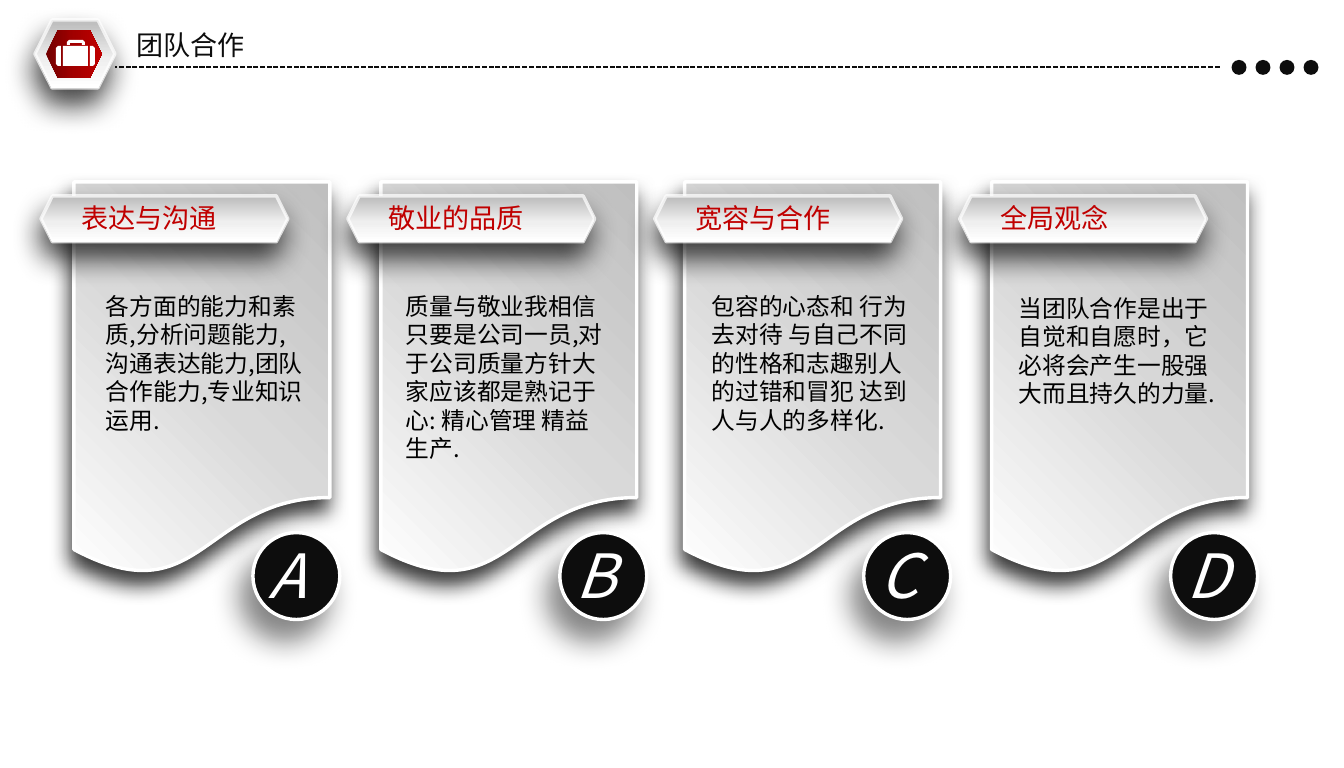
import dataclasses

import pptx
import pptx.dml.color
import pptx.enum.dml
import pptx.enum.shapes
import pptx.enum.text
import pptx.oxml.ns
import pptx.util
from lxml import etree

PX = 7495  # EMU per px
SHAPE = pptx.enum.shapes.MSO_SHAPE
qn = pptx.oxml.ns.qn


@dataclasses.dataclass(frozen=True)
class Theme:
    font: str = "Noto Sans CJK SC"
    ink: str = "0D0D0D"
    black: str = "000000"
    white: str = "FFFFFF"
    red: str = "C00000"
    heading_size: int = 16
    body_size: int = 14
    letter_size: int = 36
    line_height: float = 1.2
    # Gradients: (position %, colour) stops and clockwise angle
    paper: tuple = (((0, "BFBFBF"), (50, "D9D9D9"), (100, "FFFFFF")), 135)
    silver: tuple = (((5, "BFBFBF"), (57, "EFEFEF"), (100, "FFFFFF")), 90)
    crimson: tuple = (((0, "720000"), (50, "A20000"), (100, "C00000")), 0)
    # Shadows: colour, opacity %, blur pt, distance pt, direction
    paper_shadow: tuple = ("000000", 76, 12, 8, 105)
    silver_shadow: tuple = ("0D0D0D", 76, 17, 10, 100)
    badge_shadow: tuple = ("0D0D0D", 50, 17, 14, 120)


@dataclasses.dataclass(frozen=True)
class Card:
    letter: str
    left: int
    ribbon_left: int
    body_left: int
    body_top: int
    heading: str
    body: str


THEME = Theme()
CARDS = (
    Card("A", 74, 41, 94, 286, "表达与沟通",
         "各方面的能力和素\n质,分析问题能力,\n沟通表达能力,团队\n合作能力,专业知识\n运用."),
    Card("B", 381, 348, 394, 286, "敬业的品质",
         "质量与敬业我相信\n只要是公司一员,对\n于公司质量方针大\n家应该都是熟记于\n心: 精心管理 精益\n生产."),
    Card("C", 685, 655, 700, 286, "宽容与合作",
         "包容的心态和 行为\n去对待 与自己不同\n的性格和志趣别人\n的过错和冒犯 达到\n人与人的多样化."),
    Card("D", 992, 960, 1007, 288, "全局观念",
         "当团队合作是出于\n自觉和自愿时，它\n必将会产生一股强\n大而且持久的力量."),
)
BRIEFCASE = (
    ((67, 45), (67, 42), (69, 40), (83, 40), (85, 42), (85, 45),
     (82, 45), (82, 43), (70, 43), (70, 45)),
    ((61, 46), (61, 66), (58, 66), (56, 64), (56, 48), (58, 46)),
    ((63, 46), (88, 46), (88, 66), (63, 66)),
    ((90, 46), (93, 46), (95, 48), (95, 64), (93, 66), (90, 66)),
)


def rgb(colour):
    return pptx.dml.color.RGBColor.from_string(colour)


def add_colour(parent, colour, opacity=100):
    node = etree.SubElement(parent, qn("a:srgbClr"), val=colour)
    if opacity < 100:
        etree.SubElement(node, qn("a:alpha"), val=str(opacity * 1000))


def paint(shape, fill):
    """Fill with one colour, or with a gradient of stops and angle."""
    if isinstance(fill, str):
        shape.fill.solid()
        shape.fill.fore_color.rgb = rgb(fill)
        return
    stops, angle = fill
    shape.fill.gradient()
    shape.fill.gradient_angle = (360 - angle) % 360
    stop_list = shape._element.spPr.find(".//" + qn("a:gsLst"))
    for old_stop in list(stop_list):
        stop_list.remove(old_stop)
    for position, colour in stops:
        stop = etree.SubElement(stop_list, qn("a:gs"), pos=str(position * 1000))
        add_colour(stop, colour)


def cast_shadow(shape, shadow):
    colour, opacity, blur, distance, direction = shadow
    effects = shape._element.spPr.find(qn("a:effectLst"))
    outer = etree.SubElement(
        effects, qn("a:outerShdw"), blurRad=str(blur * 12700),
        dist=str(distance * 12700), dir=str(direction * 60000),
        algn="ctr", rotWithShape="0")
    add_colour(outer, colour, opacity)


def add_figure(slide, kind, box, fill, shadow=None, edge_opacity=100):
    """Add a preset shape; a shape with a shadow also gets a white edge."""
    figure = slide.shapes.add_shape(kind, *(PX * n for n in box))
    figure.shadow.inherit = False
    paint(figure, fill)
    if shadow is None:
        figure.line.fill.background()
        return
    figure.line.color.rgb = rgb(THEME.white)
    figure.line.width = pptx.util.Pt(2)
    if edge_opacity < 100:
        edge = figure.line._ln.find(".//" + qn("a:srgbClr"))
        etree.SubElement(edge, qn("a:alpha"), val=str(edge_opacity * 1000))
    cast_shadow(figure, shadow)


def write(frame, words, size, colour, italic=None):
    frame.text = words
    frame.word_wrap = True
    frame.auto_size = pptx.enum.text.MSO_AUTO_SIZE.NONE
    frame.vertical_anchor = pptx.enum.text.MSO_ANCHOR.TOP
    for paragraph in frame.paragraphs:
        paragraph.alignment = pptx.enum.text.PP_ALIGN.LEFT
        paragraph.line_spacing = pptx.util.Pt(round(size * THEME.line_height, 1))
        for run in paragraph.runs:
            run.font.size = pptx.util.Pt(size)
            run.font.italic = italic
            run.font.color.rgb = rgb(colour)
            run.font.name = THEME.font
            etree.SubElement(run.font._element, qn("a:ea"), typeface=THEME.font)


def add_words(slide, box, words, size, colour, italic=None):
    label = slide.shapes.add_textbox(*(PX * n for n in box))
    write(label.text_frame, words, size, colour, italic)


def add_briefcase(slide):
    first, *others = BRIEFCASE
    outline = slide.shapes.build_freeform(*first[0], scale=PX)
    outline.add_line_segments(first[1:], close=True)
    for part in others:
        outline.move_to(*part[0])
        outline.add_line_segments(part[1:], close=True)
    briefcase = outline.convert_to_shape()
    briefcase.shadow.inherit = False
    paint(briefcase, THEME.white)
    briefcase.line.fill.background()


def add_header(slide):
    # Title
    title = slide.shapes.title
    title.left, title.top, title.width, title.height = (
        PX * n for n in (124, 22, 134, 45))
    write(title.text_frame, "团队合作", THEME.heading_size, THEME.ink)

    # Dashed rule and dots
    rule = slide.shapes.add_connector(
        pptx.enum.shapes.MSO_CONNECTOR.STRAIGHT,
        *(PX * n for n in (1220, 67, 115, 67)))
    rule.line.color.rgb = rgb(THEME.ink)
    rule.line.width = pptx.util.Pt(1)
    rule.line.dash_style = pptx.enum.dml.MSO_LINE.SQUARE_DOT
    etree.SubElement(rule._element.spPr, qn("a:effectLst"))
    for i in range(4):
        add_figure(slide, SHAPE.OVAL, (1232 + 24 * i, 60, 15, 15), THEME.ink)

    # Briefcase emblem
    add_figure(slide, SHAPE.HEXAGON, (35, 20, 80, 68), THEME.silver,
               THEME.silver_shadow, 73)
    add_figure(slide, SHAPE.HEXAGON, (46, 30, 56, 48), THEME.crimson)
    add_briefcase(slide)


def add_card(slide, card):
    # Sheet and round badge
    add_figure(slide, SHAPE.FLOWCHART_DOCUMENT, (card.left, 182, 256, 394),
               THEME.paper, THEME.paper_shadow)
    add_figure(slide, SHAPE.OVAL, (card.left + 179, 533, 87, 87),
               THEME.ink, THEME.badge_shadow)
    add_words(slide, (card.left + 183, 532, 69, 87), card.letter,
              THEME.letter_size, THEME.white, italic=True)

    # Heading ribbon
    add_figure(slide, SHAPE.HEXAGON, (card.ribbon_left, 196, 247, 46),
               THEME.silver, THEME.silver_shadow, 73)
    add_words(slide, (card.ribbon_left + 29, 196, 162, 45), card.heading,
              THEME.heading_size, THEME.red)

    # Body
    add_words(slide, (card.body_left, card.body_top, 222, 156), card.body,
              THEME.body_size, THEME.black)


def main():
    deck = pptx.Presentation()
    deck.slide_width = pptx.util.Inches(11.02)
    deck.slide_height = pptx.util.Inches(6.3)
    slide = deck.slides.add_slide(deck.slide_layouts.get_by_name("Title Only"))
    add_header(slide)
    for card in CARDS:
        add_card(slide, card)
    deck.save("out.pptx")


if __name__ == "__main__":
    main()
